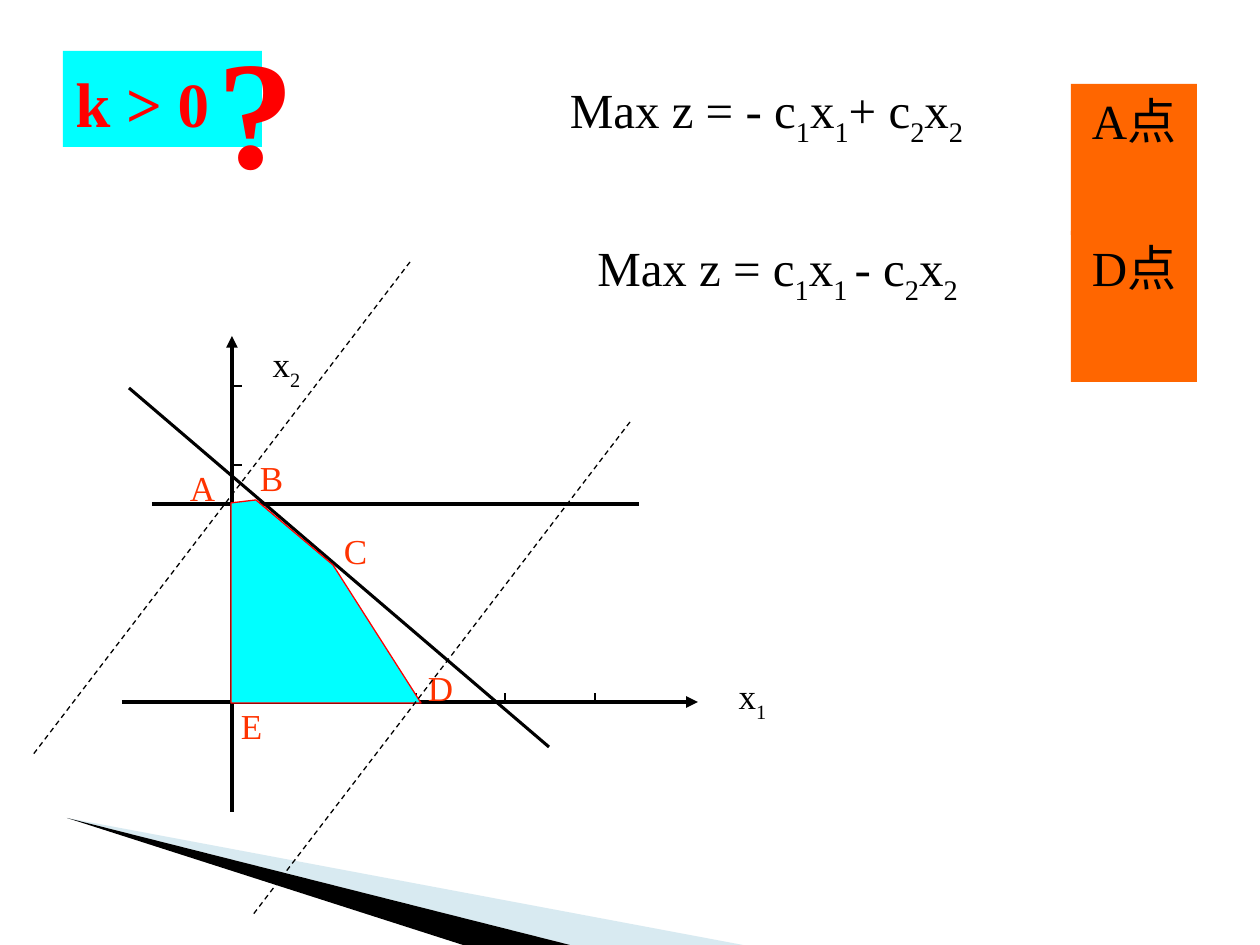
from dataclasses import dataclass

from lxml import etree
from pptx import Presentation, util as u
from pptx.dml import color
from pptx.enum import dml, shapes, text
from pptx.oxml import ns

PX = 914400 / 126


@dataclass(frozen=True)
class Theme:
    font: str = "Times New Roman"
    ink: str = "000000"
    red: str = "FF0000"
    label: str = "FF3300"
    cyan: str = "00FFFF"
    orange: str = "FF6600"
    pale: str = "9FCBDC"
    small: int = 20
    body: int = 28
    head: int = 36
    huge: int = 88
    hair: float = 0.75
    line: float = 1.75
    axis: float = 2.25


def emu(*sizes):
    return [u.Emu(round(size * PX)) for size in sizes]


def rgb(code):
    return color.RGBColor.from_string(code)


class Board:
    """Holds the theme and the current slide, and draws each kind of element."""

    def __init__(self, slide, theme):
        self.slide, self.theme = slide, theme

    def letter(self, shape, words, size, ink, left=False):
        frame = shape.text_frame
        frame.word_wrap = True
        frame.vertical_anchor = text.MSO_ANCHOR.TOP
        para = frame.paragraphs[0]
        para.alignment = text.PP_ALIGN.LEFT if left else text.PP_ALIGN.CENTER
        if left:
            para.line_spacing = 1.1
        for spot, part in enumerate(words.split("|")):
            run = para.add_run()
            run.text = part
            if spot % 2:
                run.font._element.set("baseline", "-30000")
        font = para.font
        font.name, font.size, font.bold = self.theme.font, u.Pt(size), left
        font.color.rgb = rgb(ink)

    def label(self, box, words, size, ink, left=False):
        shape = self.slide.shapes.add_textbox(*emu(*box))
        self.letter(shape, words, size, ink, left)

    def panel(self, box, fill, words, size, ink, left=False):
        shape = self.slide.shapes.add_shape(
            shapes.MSO_SHAPE.RECTANGLE, *emu(*box))
        self.paint(shape, fill)
        self.letter(shape, words, size, ink, left)

    def paint(self, shape, fill, edge=None, alpha=None):
        shape.shadow.inherit = False
        shape.fill.solid()
        shape.fill.fore_color.rgb = rgb(fill)
        if alpha:
            tint = shape._element.spPr.find(".//" + ns.qn("a:srgbClr"))
            etree.SubElement(tint, ns.qn("a:alpha")).set("val", str(alpha * 1000))
        if edge:
            shape.line.color.rgb = rgb(edge)
            shape.line.width = u.Pt(self.theme.hair)
        else:
            shape.line.fill.background()

    def area(self, points, fill, edge=None, alpha=None):
        pen = self.slide.shapes.build_freeform(*points[0], scale=PX)
        pen.add_line_segments(points[1:], close=True)
        self.paint(pen.convert_to_shape(), fill, edge, alpha)

    def line(self, start, end, width, arrow=False, dash=False):
        link = self.slide.shapes.add_connector(
            shapes.MSO_CONNECTOR.STRAIGHT, *emu(*start, *end))
        link.line.color.rgb = rgb(self.theme.ink)
        link.line.width = u.Pt(width)
        if dash:
            link.line.dash_style = dml.MSO_LINE.DASH
        props = link._element.spPr
        if arrow:
            tip = etree.SubElement(props.find(ns.qn("a:ln")), ns.qn("a:tailEnd"))
            tip.set("type", "triangle")
        etree.SubElement(props, ns.qn("a:effectLst"))


def main():
    deck = Presentation()
    deck.slide_width, deck.slide_height = emu(1260, 945)
    theme = Theme()
    board = Board(deck.slides.add_slide(deck.slide_layouts[6]), theme)

    board.area([(67, 818), (743, 945), (570, 945)], theme.pale, alpha=40)
    board.area([(67, 818), (570, 945), (463, 945)], theme.ink)
    board.panel((63, 51, 199, 96), theme.cyan, "k > 0",
                theme.head, theme.red, left=True)

    left, base = 232, 702
    board.line((left, 812), (left, 336), theme.axis, arrow=True)
    board.line((122, base), (698, base), theme.axis, arrow=True)
    for row in range(4):
        tick = 386 + 79 * row
        board.line((left, tick), (left + 10, tick), theme.hair)
    for tick in (319, 416, 505, 595):
        board.line((tick, base), (tick, base - 9), theme.hair)
    board.line((129, 388), (549, 747), theme.line)
    board.line((152, 504), (639, 504), theme.line)

    for x, y, name in ((252, 336, "x|2"), (718, 668, "x|1")):
        board.label((x, y, 69, 63), name, theme.small, theme.ink)
    for x, y, name in ((316, 523, "C"), (232, 450, "B"), (163, 460, "A"),
                       (401, 660, "D"), (212, 698, "E")):
        board.label((x, y, 79, 55), name, theme.small, theme.label)

    board.area([(231, 503), (256, 500), (333, 565), (421, 703), (231, 703)],
               theme.cyan, theme.red)
    for x, y in ((410, 262), (630, 422)):
        board.line((x, y), (x - 378, y + 494), theme.hair, dash=True)
    board.label((205, -10, 204, 217), "?", theme.huge, theme.red, left=True)

    for x, y, goal in ((525, 73, "Max z = - c|1|x|1|+ c|2|x|2"),
                       (536, 231, "Max z = c|1|x|1 |- c|2|x|2")):
        board.label((x, y, 483, 82), goal, theme.body, theme.ink)
    for y, name in ((84, "A点"), (231, "D点")):
        board.panel((1071, y, 126, 151), theme.orange, name,
                    theme.body, theme.ink)
    deck.save("out.pptx")


if __name__ == "__main__":
    main()
